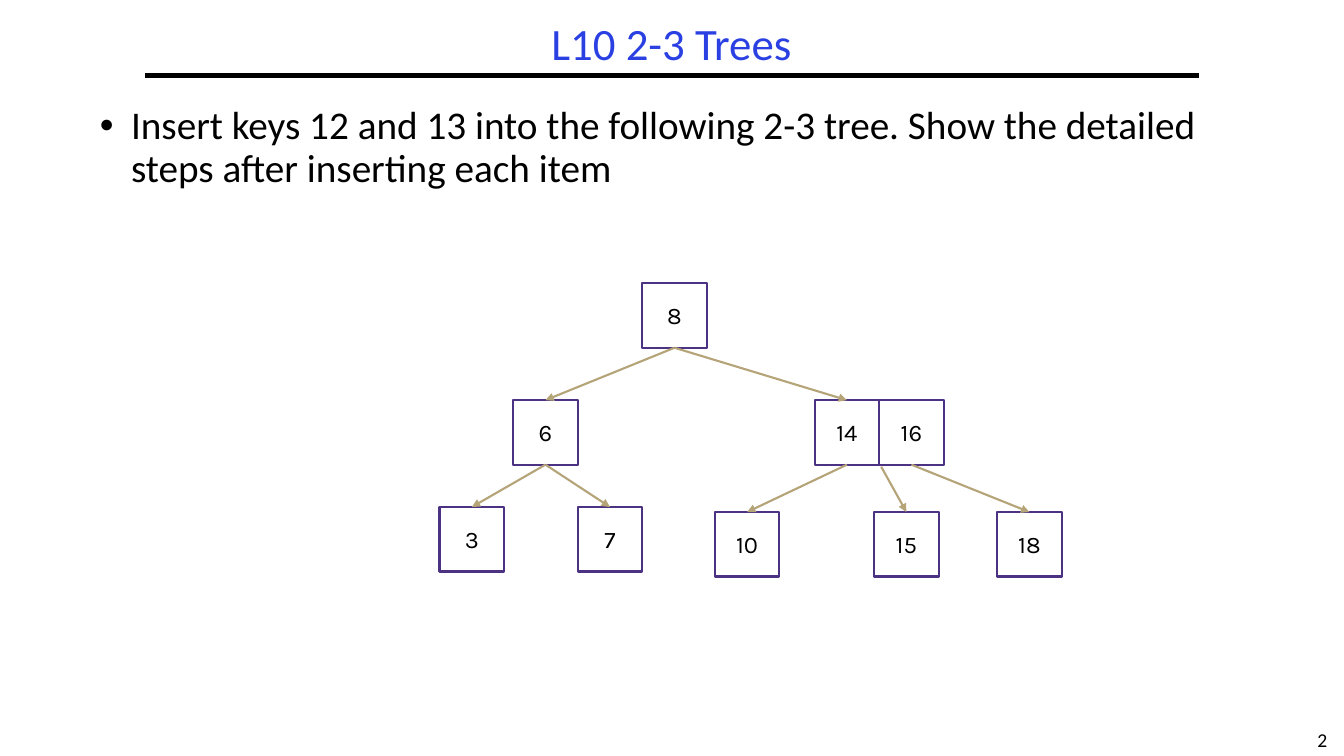
from dataclasses import dataclass

from lxml import etree
from pptx import Presentation
from pptx.dml.color import RGBColor
from pptx.enum.shapes import MSO_CONNECTOR, MSO_SHAPE
from pptx.enum.text import MSO_ANCHOR, MSO_AUTO_SIZE, PP_ALIGN
from pptx.oxml.ns import qn
from pptx.util import Inches, Pt

RECT = MSO_SHAPE.RECTANGLE
STRAIGHT = MSO_CONNECTOR.STRAIGHT
MIDDLE, TOP = MSO_ANCHOR.MIDDLE, MSO_ANCHOR.TOP
LEFT, CENTER = PP_ALIGN.LEFT, PP_ALIGN.CENTER
NO_FIT = MSO_AUTO_SIZE.NONE
TOP_SIDE, BOTTOM_SIDE = 0, 2


@dataclass(frozen=True)
class Theme:
    ink: str = "000000"
    title: str = "2A40E2"
    node: str = "4C3282"
    edge: str = "B6A479"
    font: str = "Calibri"
    key_font: str = "Karla"
    title_size: int = 32
    body_size: int = 28
    key_size: int = 17
    page_size: int = 14
    rule_width: float = 3
    line_width: float = 1.5


class Deck:
    def __init__(self, theme):
        self.theme = theme
        self.prs = Presentation()
        self.prs.slide_width, self.prs.slide_height = Inches(13.33), Inches(7.5)
        self.slide = self.prs.slides.add_slide(self.prs.slide_layouts[1])

    def label(self, shape, text, size, color, font=None, align=CENTER, anchor=MIDDLE, wrap=True):
        frame = shape.text_frame
        frame.auto_size = NO_FIT
        frame.word_wrap = wrap
        frame.vertical_anchor = anchor
        para = frame.paragraphs[0]
        para.alignment = align
        run = para.add_run()
        run.text = text
        run.font.name = font or self.theme.font
        run.font.size = Pt(size)
        run.font.color.rgb = RGBColor.from_string(color)
        return para

    def place(self, shape, left, top, width, height):
        shape.left, shape.top = Inches(left), Inches(top)
        shape.width, shape.height = Inches(width), Inches(height)

    def title(self, text, *box):
        shape = self.slide.shapes.title
        self.place(shape, *box)
        para = self.label(shape, text, self.theme.title_size, self.theme.title)
        para.line_spacing = 0.9

    def bullet(self, text, *box):
        shape = self.slide.placeholders[1]
        self.place(shape, *box)
        para = self.label(shape, text, self.theme.body_size, self.theme.ink, align=LEFT, anchor=TOP)
        para.line_spacing = 0.9
        para.space_before = Pt(0)
        props = para._p.get_or_add_pPr()
        props.set("marL", str(Inches(0.31)))
        props.set("indent", str(-Inches(0.31)))
        etree.SubElement(props, qn("a:buChar")).set("char", "•")

    def page(self, text, *box):
        shape = self.slide.shapes.add_textbox(*map(Inches, box))
        self.label(shape, text, self.theme.page_size, self.theme.ink, anchor=TOP, wrap=False)

    def line(self, start, end, color, width):
        line = self.slide.shapes.add_connector(STRAIGHT, *map(Inches, (*start, *end)))
        line.line.color.rgb = RGBColor.from_string(color)
        line.line.width = Pt(width)
        etree.SubElement(line._element.spPr, qn("a:effectLst"))
        return line

    def node(self, key, left, top, side=0.64):
        box = self.slide.shapes.add_shape(RECT, *map(Inches, (left, top, side, side)))
        box.shadow.inherit = False
        box.fill.background()
        box.line.color.rgb = RGBColor.from_string(self.theme.node)
        box.line.width = Pt(self.theme.line_width)
        self.label(box, key, self.theme.key_size, self.theme.ink, self.theme.key_font)
        return box

    def edge(self, child, parent=None, start=(0, 0)):
        """Arrow to the child's top, from the parent's bottom or a free point."""
        end = ((child.left + child.width / 2) / Inches(1), child.top / Inches(1))
        arrow = self.line(start, end, self.theme.edge, self.theme.line_width)
        if parent is not None:
            arrow.begin_connect(parent, BOTTOM_SIDE)
        arrow.end_connect(child, TOP_SIDE)
        stroke = arrow._element.spPr.find(qn("a:ln"))
        etree.SubElement(stroke, qn("a:tailEnd")).set("type", "triangle")


NODES = {
    "8": (6.37, 2.81),
    "6": (5.09, 3.97), "14": (8.08, 3.97), "16": (8.72, 3.97),
    "3": (4.36, 5.03), "7": (5.73, 5.03),
    "10": (7.09, 5.08), "15": (8.67, 5.08), "18": (9.89, 5.08),
}
EDGES = [("8", "6"), ("8", "14"), ("6", "3"), ("6", "7"), ("14", "10"), ("16", "18")]


def main():
    theme = Theme()
    deck = Deck(theme)
    deck.page("2", 12.9, 7.17, 0.43, 0.33)
    deck.line((1.44, 0.75), (11.89, 0.75), theme.ink, theme.rule_width)
    deck.title("L10 2-3 Trees", 1.44, 0.17, 10.44, 0.58)
    deck.bullet(
        "Insert keys 12 and 13 into the following 2-3 tree. "
        "Show the detailed steps after inserting each item",
        0.89, 1, 11.56, 5.58,
    )
    tree = {key: deck.node(key, *spot) for key, spot in NODES.items()}
    for parent, child in EDGES:
        deck.edge(tree[child], tree[parent])
    deck.edge(tree["15"], start=(8.74, 4.63))
    deck.prs.save("out.pptx")


if __name__ == "__main__":
    main()
